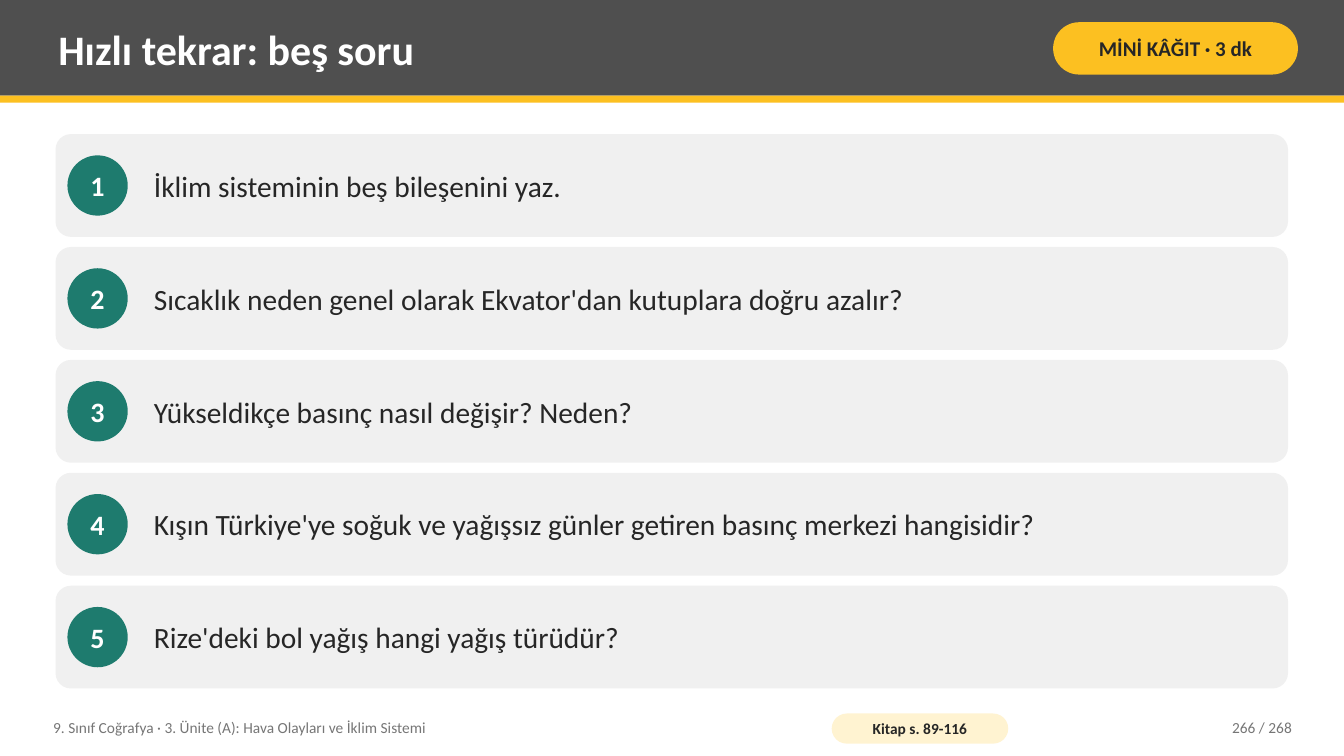
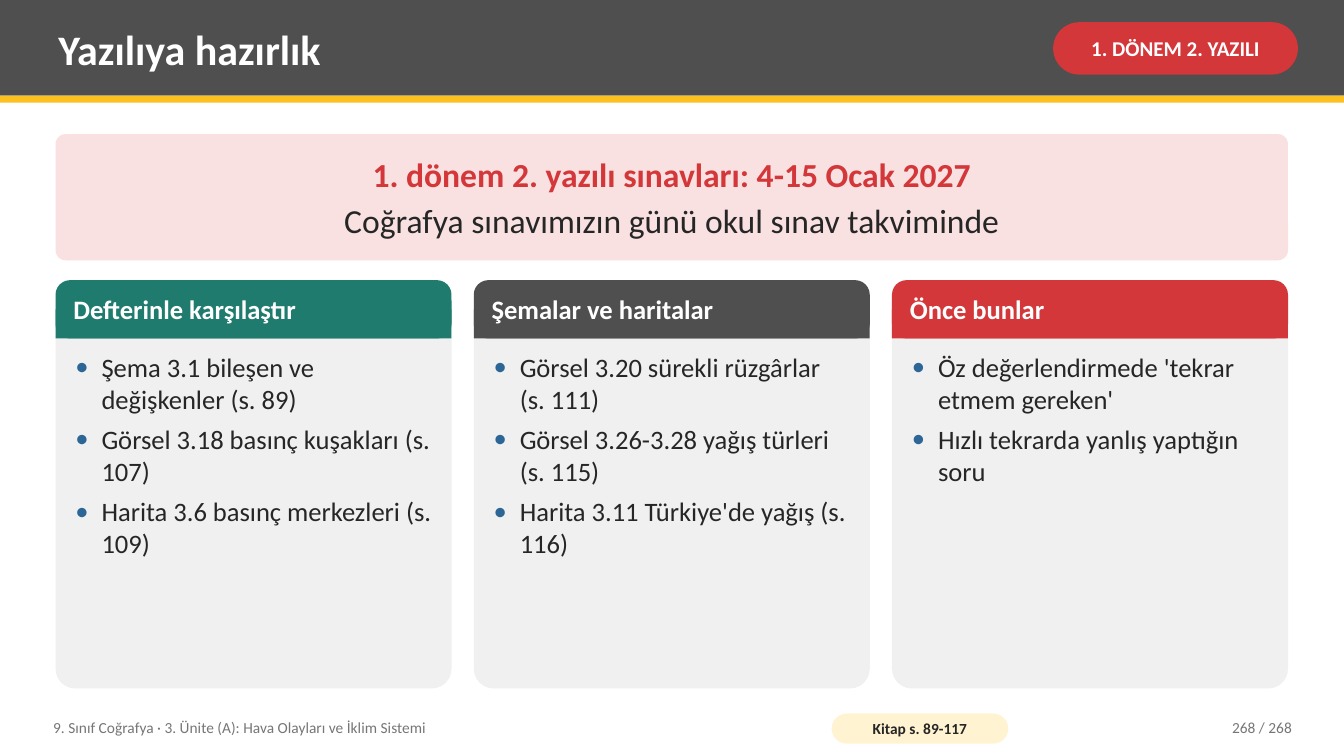
"""Build two geography review slides: quick questions and exam preparation."""
from lxml.etree import SubElement
from pptx import Presentation
from pptx.dml.color import RGBColor
from pptx.enum.shapes import MSO_SHAPE as Kind
from pptx.enum.text import MSO_ANCHOR as Anchor, PP_ALIGN as Align
from pptx.oxml.ns import qn
from pptx.util import Cm, Pt

FONT = "Calibri"
WHITE = RGBColor(0xFF, 0xFF, 0xFF)
INK = RGBColor(0x26, 0x26, 0x26)
DARK = RGBColor(0x4F, 0x4F, 0x4F)
GRAY = RGBColor(0x76, 0x76, 0x76)
PALE = RGBColor(0xF0, 0xF0, 0xF0)
GOLD = RGBColor(0xFC, 0xC0, 0x21)
CREAM = RGBColor(0xFF, 0xF3, 0xD1)
GREEN = RGBColor(0x1E, 0x7B, 0x6E)
RED = RGBColor(0xD3, 0x37, 0x3A)
PINK = RGBColor(0xF9, 0xE1, 0xE1)
BLUE = RGBColor(0x2C, 0x66, 0x96)

WIDE, HIGH = 33.87, 19.05
LEFT, SPAN = 1.4, 31.06
TOP, BOTTOM = 3.38, 17.35


def draw(slide, kind, x, y, w, h, fill, curve=None):
    shape = slide.shapes.add_shape(kind, Cm(x), Cm(y), Cm(w), Cm(h))
    shape.shadow.inherit = False
    shape.fill.solid()
    shape.fill.fore_color.rgb = fill
    shape.line.fill.background()
    if curve is not None:
        shape.adjustments[0] = curve
    return shape


def write(target, text, size, color, bold=False, align=Align.LEFT,
          pad=(0.2, 0.1), box=None, anchor=Anchor.MIDDLE):
    if box:
        target = target.shapes.add_textbox(*(Cm(side) for side in box))
    frame = target.text_frame
    frame.word_wrap = True
    frame.vertical_anchor = anchor
    frame.margin_left = frame.margin_right = Cm(pad[0])
    frame.margin_top = frame.margin_bottom = Cm(pad[1])
    frame.text = text
    for para in frame.paragraphs:
        para.alignment = align
        for run in para.runs:
            run.font.name = FONT
            run.font.size = Pt(size)
            run.font.bold = bold
            run.font.color.rgb = color
    return frame


deck = Presentation()
deck.slide_width, deck.slide_height = Cm(WIDE), Cm(HIGH)

heads = [
    ("Hızlı tekrar: beş soru", "MİNİ KÂĞIT · 3 dk", GOLD, INK,
     "Kitap s. 89-116", "266 / 268"),
    ("Yazılıya hazırlık", "1. DÖNEM 2. YAZILI", RED, WHITE,
     "Kitap s. 89-117", "268 / 268"),
]
slides = []
for title, tag, fill, color, pages, number in heads:
    slide = deck.slides.add_slide(deck.slide_layouts[6])
    draw(slide, Kind.RECTANGLE, 0, 0, WIDE, 2.41, DARK)
    draw(slide, Kind.RECTANGLE, 0, 2.41, WIDE, 0.18, GOLD)
    write(slide, title, 30, WHITE, True, box=(1.27, 0.18, 24.77, 2.08))
    badge = draw(slide, Kind.ROUNDED_RECTANGLE, 26.54, 0.56, 6.17, 1.32, fill, 0.5)
    write(badge, tag, 15, color, True, Align.CENTER, (0.13, 0.05))
    write(slide, "9. Sınıf Coğrafya · 3. Ünite (A): Hava Olayları ve İklim Sistemi",
          11, GRAY, box=(1.14, 17.88, 19.3, 0.91))
    pill = draw(slide, Kind.ROUNDED_RECTANGLE, 20.96, 17.98, 4.45, 0.76, CREAM, 0.5)
    write(pill, pages, 11, INK, True, Align.CENTER, (0.1, 0))
    write(slide, number, 11, GRAY, align=Align.RIGHT, box=(28.7, 17.88, 4.06, 0.91))
    slides.append(slide)
quiz, exam = slides

asks = [
    "İklim sisteminin beş bileşenini yaz.",
    "Sıcaklık neden genel olarak Ekvator'dan kutuplara doğru azalır?",
    "Yükseldikçe basınç nasıl değişir? Neden?",
    "Kışın Türkiye'ye soğuk ve yağışsız günler getiren basınç merkezi hangisidir?",
    "Rize'deki bol yağış hangi yağış türüdür?",
]
row, dot = 2.59, 1.52
step = (BOTTOM - TOP - row) / (len(asks) - 1)
for index, ask in enumerate(asks):
    y = TOP + index * step
    draw(quiz, Kind.ROUNDED_RECTANGLE, LEFT, y, SPAN, row, PALE, 0.15)
    disc = draw(quiz, Kind.OVAL, 1.7, y + (row - dot) / 2, dot, dot, GREEN)
    write(disc, str(index + 1), 20, WHITE, True, Align.CENTER, (0, 0)).word_wrap = False
    write(quiz, ask, 21, INK, box=(3.68, y, 28.4, row))

banner = draw(exam, Kind.ROUNDED_RECTANGLE, LEFT, TOP, SPAN, 3.18, PINK, 0.08)
date, note = write(
    banner,
    "1. dönem 2. yazılı sınavları: 4-15 Ocak 2027\n"
    "Coğrafya sınavımızın günü okul sınav takviminde",
    24, INK, align=Align.CENTER, pad=(0.36, 0.2)).paragraphs
date.space_after = Pt(4)
date.runs[0].font.bold = True
date.runs[0].font.color.rgb = RED

cards = [
    ("Defterinle karşılaştır", GREEN, [
        "Şema 3.1 bileşen ve değişkenler (s. 89)",
        "Görsel 3.18 basınç kuşakları (s. 107)",
        "Harita 3.6 basınç merkezleri (s. 109)"]),
    ("Şemalar ve haritalar", DARK, [
        "Görsel 3.20 sürekli rüzgârlar (s. 111)",
        "Görsel 3.26-3.28 yağış türleri (s. 115)",
        "Harita 3.11 Türkiye'de yağış (s. 116)"]),
    ("Önce bunlar", RED, [
        "Öz değerlendirmede 'tekrar etmem gereken'",
        "Hızlı tekrarda yanlış yaptığın soru"]),
]
wide, head, y = 9.98, 1.47, 7.06
step = (SPAN - wide) / (len(cards) - 1)
for index, (label, fill, items) in enumerate(cards):
    x = LEFT + index * step
    draw(exam, Kind.ROUNDED_RECTANGLE, x, y, wide, BOTTOM - y, PALE, 0.05)
    draw(exam, Kind.ROUNDED_RECTANGLE, x, y, wide, head, fill, 0.25)
    draw(exam, Kind.RECTANGLE, x, y + head / 2, wide, head / 2, fill)
    write(exam, label, 19, WHITE, True, box=(x + 0.25, y, wide - 0.5, head))
    frame = write(exam, "\n".join(items), 19, INK,
                  box=(x + 0.3, 8.74, wide - 0.6, 8.41), anchor=Anchor.TOP)
    for para in frame.paragraphs:
        para.space_after = Pt(6)
        props = para._p.get_or_add_pPr()
        props.set("marL", str(Cm(0.66)))
        props.set("indent", str(-Cm(0.66)))
        tint = SubElement(props, qn("a:buClr"))
        SubElement(tint, qn("a:srgbClr"), val=str(BLUE))
        SubElement(props, qn("a:buFont"), typeface=FONT)
        SubElement(props, qn("a:buChar"), char="•")

deck.save("out.pptx")
